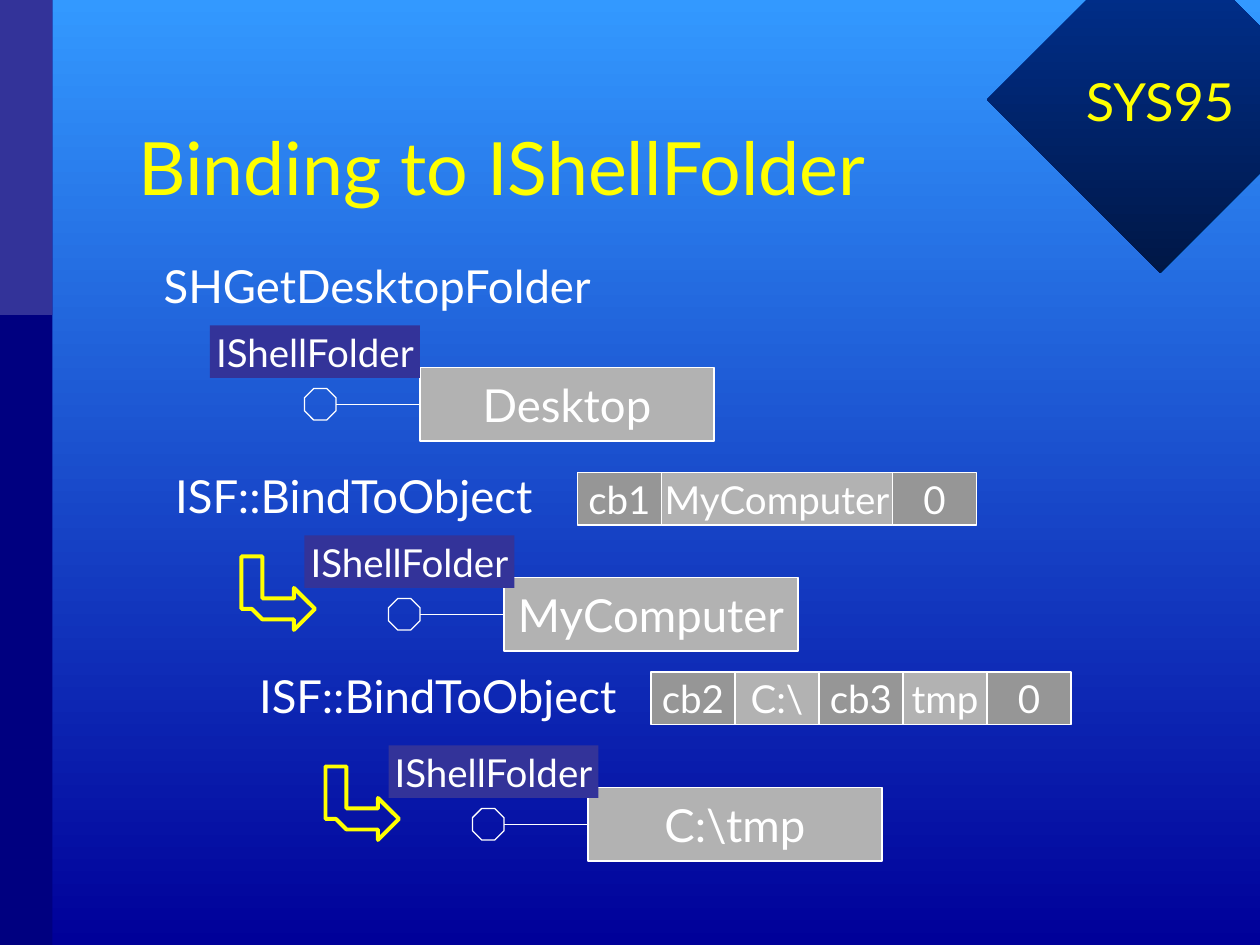
from lxml import etree
from pptx import Presentation
from pptx.dml.color import RGBColor
from pptx.enum import shapes, text
from pptx.oxml.ns import qn
from pptx.util import Inches, Pt

COLORS = {
    "sky": "3399FF", "deep": "000099", "blue": "003399", "night": "001746",
    "navy": "000080", "indigo": "333399", "yellow": "FFFF00",
    "white": "FFFFFF", "dark": "969696", "light": "B2B2B2",
}
RGB = {name: RGBColor.from_string(value) for name, value in COLORS.items()}
MSO = shapes.MSO_SHAPE

prs = Presentation()
prs.slide_width, prs.slide_height = Inches(10), Inches(7.5)
UNIT = prs.slide_width / 120  # grid of 120 columns by 90 rows
s = prs.slides.add_slide(prs.slide_layouts[6])


def gradient(fill, top, bottom):
    fill.gradient()
    fill.gradient_angle = 270
    for stop, name in zip(fill.gradient_stops, (top, bottom)):
        stop.color.rgb = RGB[name]


def box(label, x, y, w, h, kind=None, fill=None, line=None, size=22,
        color="white", align="CENTER", anchor="MIDDLE", wrap=False, spacing=1.0):
    """Place a shape, or a text box if no kind is given, in grid units."""
    place = [round(n * UNIT) for n in (x, y, w, h)]
    if kind is None:
        sp = s.shapes.add_textbox(*place)
    else:
        sp = s.shapes.add_shape(kind, *place)
        sp.shadow.inherit = False
        if fill:
            sp.fill.solid()
            sp.fill.fore_color.rgb = RGB[fill]
        else:
            sp.fill.background()
        if line:
            sp.line.color.rgb = RGB[line]
            sp.line.width = Pt(0.75)
        else:
            sp.line.fill.background()
    if label:
        tf = sp.text_frame
        tf.word_wrap = wrap
        tf.vertical_anchor = getattr(text.MSO_ANCHOR, anchor)
        p = tf.paragraphs[0]
        p.alignment = getattr(text.PP_ALIGN, align)
        p.line_spacing = spacing
        r = p.add_run()
        r.text = label
        r.font.name, r.font.size = "Lato", Pt(size)
        r.font.color.rgb = RGB[color]
    return sp


# Background, corner diamond and side bars
gradient(s.background.fill, "sky", "deep")
diamond = box("", 94, -7, 33, 33, MSO.DIAMOND)
gradient(diamond.fill, "blue", "night")
box("", 0, 0, 5, 90, MSO.RECTANGLE, "navy")
box("", 0, 0, 5, 30, MSO.RECTANGLE, "indigo")

# Title and corner tag
box("Binding to IShellFolder", 12, 9, 96, 15, size=42, color="yellow",
    align="LEFT", wrap=True, spacing=0.85)
box("SYS95", 101, 3, 19, 14, size=30, color="yellow", wrap=True, spacing=0.85)

# Function calls
for label, x, y, w in [("SHGetDesktopFolder", 14.4, 24, 45),
                       ("ISF::BindToObject", 15.5, 44, 38.4),
                       ("ISF::BindToObject", 23.5, 63, 38.4)]:
    box(label, x, y, w, 6.5, size=26, align="LEFT", anchor="TOP", wrap=True)

# Item ID lists: count and value cells alternate
for x, y, cells in [
    (55, 45, [("cb1", 8), ("MyComputer", 22), ("0", 8)]),
    (62, 64, [("cb2", 8), ("C:\\", 8), ("cb3", 8), ("tmp", 8), ("0", 8)]),
]:
    for i, (label, w) in enumerate(cells):
        box(label, x, y, w, 5, MSO.RECTANGLE, ("dark", "light")[i % 2], "white")
        x += w

# Objects with their interface pins, each step 8 columns right and 20 rows down
for i, (label, tag_x) in enumerate([("Desktop", 20), ("MyComputer", 29), ("C:\\tmp", 37)]):
    x, y = 40 + 8 * i, 35 + 20 * i
    box(label, x, y, 28, 7, MSO.RECTANGLE, "light", "white", size=26)
    pin = s.shapes.add_connector(
        shapes.MSO_CONNECTOR.STRAIGHT,
        *(round(n * UNIT) for n in (x, y + 3.5, x - 8, y + 3.5)))
    pin.line.color.rgb = RGB["white"]
    pin.line.width = Pt(0.75)
    etree.SubElement(pin._element.spPr, qn("a:effectLst"))
    box("", x - 11, y + 2, 3, 3, MSO.OCTAGON, line="white")
    box("IShellFolder", tag_x, y - 4, 20, 5, MSO.RECTANGLE, "indigo")

# Curved arrows: the two bends are sampled from Bezier curves
STEPS = 16
bends = []
for curve in [((0, 3.1), (0, 4.8), (1.8, 6.1), (4.1, 6.1)),
              ((4.1, 4), (3, 4), (2.1, 3.6), (2.1, 3.1))]:
    bend = []
    for n in range(STEPS + 1):
        t = n / STEPS
        weights = ((1 - t) ** 3, 3 * t * (1 - t) ** 2, 3 * t * t * (1 - t), t ** 3)
        bend.append(tuple(sum(k * pt[axis] for k, pt in zip(weights, curve))
                          for axis in (0, 1)))
    bends.append(bend)
head = [(4.9, 6.1), (4.9, 7), (7.1, 5.1), (4.9, 3.1), (4.9, 4)]
outline = [(0, 0)] + bends[0] + head + bends[1] + [(2.1, 0)]
for x, y in [(23, 53), (31, 73)]:
    points = [(x + dx, y + dy) for dx, dy in outline]
    path_builder = s.shapes.build_freeform(*points[0], scale=UNIT)
    path_builder.add_line_segments(points[1:], close=True)
    arrow = path_builder.convert_to_shape()
    arrow.shadow.inherit = False
    arrow.fill.background()
    arrow.line.color.rgb = RGB["yellow"]
    arrow.line.width = Pt(2.25)

prs.save("out.pptx")
